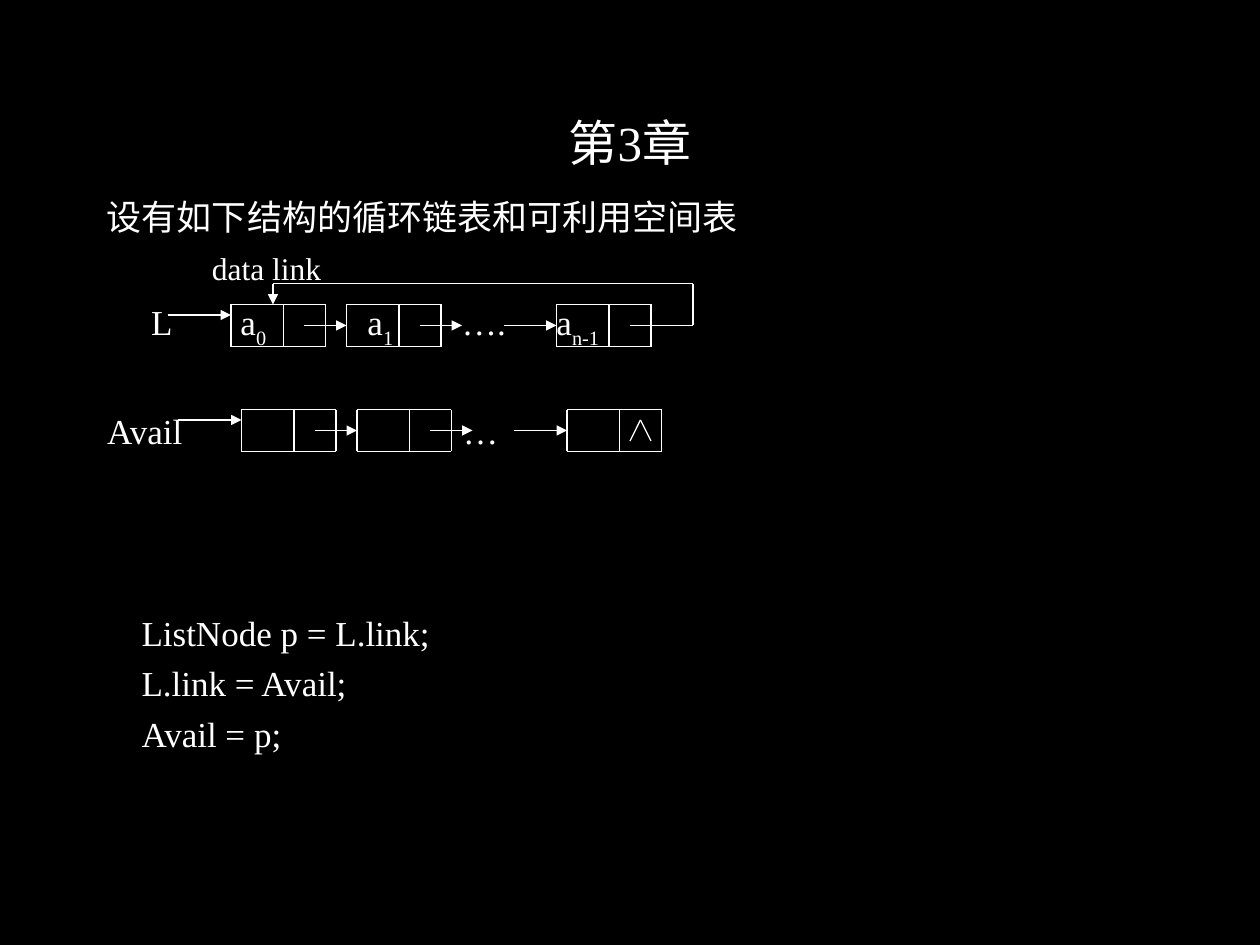
from typing import NamedTuple

from lxml.etree import SubElement
from pptx import Presentation
from pptx.dml.color import RGBColor
from pptx.enum.shapes import MSO_CONNECTOR
from pptx.enum.text import MSO_ANCHOR, PP_ALIGN
from pptx.oxml.ns import qn
from pptx.util import Pt

PX = 7620  # 120 px to the inch
BLACK = RGBColor(0, 0, 0)
WHITE = RGBColor(255, 255, 255)
FONT = "Times New Roman"
NODE_W, NODE_H, DATA_W = 90, 40, 50


class Para(NamedTuple):
    text: str
    size: int = 20
    before: float = 5
    indent: int = 0


class Label(NamedTuple):
    x: int
    text: str
    sub: str = ""


class Chain(NamedTuple):
    x: int
    y: int
    label_y: int
    labels: list[Label]


BODY = [
    Para("设有如下结构的循环链表和可利用空间表", before=5.75),
    Para("data link", size=18, before=7, indent=100),
    Para("ListNode p = L.link;", before=185, indent=33),
    Para("L.link = Avail;", indent=33),
    Para("Avail = p;", indent=33),
]
CHAINS = [
    Chain(220, 290, 286, [Label(144, "L"), Label(229, "a", "0"),
                          Label(350, "a", "1"), Label(440, "…."),
                          Label(530, "a", "n-1")]),
    Chain(230, 390, 390, [Label(102, "Avail"), Label(441, "…")]),
]
NODE_OFFSETS = (0, 110, 310)
# Arrows of a chain: start x, end x, y, from the chain's corner
LINKS = [(-60, 0, 10), (70, 110, 20), (180, 220, 20), (260, 310, 20)]


def add_run(p, text: str, size: int, sub: bool = False) -> None:
    r = p.add_run()
    r.text = text
    r.font.name, r.font.size = FONT, Pt(size)
    r.font.color.rgb = WHITE
    if sub:
        r._r.get_or_add_rPr().set("baseline", "-30000")


def add_box(s, x: int, y: int, w: int, h: int):
    tf = s.shapes.add_textbox(x * PX, y * PX, w * PX, h * PX).text_frame
    tf.word_wrap = True
    return tf


def add_para(p, para: Para) -> None:
    p.space_before = Pt(para.before)
    pPr = p._p.get_or_add_pPr()
    pPr.set("marL", str(para.indent * PX))
    pPr.set("indent", "0")
    add_run(p, para.text, para.size)


def add_label(s, label: Label, y: int) -> None:
    tf = add_box(s, label.x, y, 90, 40)
    tf.margin_left = tf.margin_right = tf.margin_top = tf.margin_bottom = 0
    p = tf.paragraphs[0]
    add_run(p, label.text, 20)
    if label.sub:
        add_run(p, label.sub, 20, sub=True)


def add_line(s, x1: int, y1: int, x2: int, y2: int, arrow: bool = False) -> None:
    c = s.shapes.add_connector(MSO_CONNECTOR.STRAIGHT,
                               x1 * PX, y1 * PX, x2 * PX, y2 * PX)
    c.line.color.rgb = WHITE
    c.line.width = Pt(0.75)
    if arrow:
        SubElement(c.line._get_or_add_ln(), qn("a:tailEnd"), type="triangle")
    SubElement(c._element.spPr, qn("a:effectLst"))


def add_node(s, x: int, y: int) -> None:
    for dy in (0, NODE_H):
        add_line(s, x, y + dy, x + NODE_W, y + dy)
    for dx in (0, DATA_W, NODE_W):
        add_line(s, x + dx, y, x + dx, y + NODE_H)


def add_chain(s, chain: Chain) -> None:
    for label in chain.labels:
        add_label(s, label, chain.label_y)
    for dx in NODE_OFFSETS:
        add_node(s, chain.x + dx, chain.y)
    for x1, x2, dy in LINKS:
        add_line(s, chain.x + x1, chain.y + dy, chain.x + x2, chain.y + dy, True)


def main() -> None:
    prs = Presentation()
    prs.slide_width, prs.slide_height = 1200 * PX, 900 * PX
    s = prs.slides.add_slide(prs.slide_layouts[6])
    s.background.fill.solid()
    s.background.fill.fore_color.rgb = BLACK

    # Title
    tf = add_box(s, 90, 80, 1020, 110)
    tf.vertical_anchor = MSO_ANCHOR.MIDDLE
    p = tf.paragraphs[0]
    p.alignment = PP_ALIGN.CENTER
    add_run(p, "第3章", 28)

    # Question, field names and code
    tf = add_box(s, 90, 180, 1020, 690)
    for i, para in enumerate(BODY):
        add_para(tf.add_paragraph() if i else tf.paragraphs[0], para)

    # Circular list and available-space list
    for chain in CHAINS:
        add_chain(s, chain)

    # Null mark in the last link field
    for x in (600, 620):
        add_line(s, 610, 400, x, 420)

    # Link from the last node back to the first
    corners = [(600, 310), (660, 310), (660, 270), (260, 270), (260, 290)]
    for i, (start, end) in enumerate(zip(corners, corners[1:])):
        add_line(s, *start, *end, arrow=i == len(corners) - 2)

    prs.save("out.pptx")


if __name__ == "__main__":
    main()
